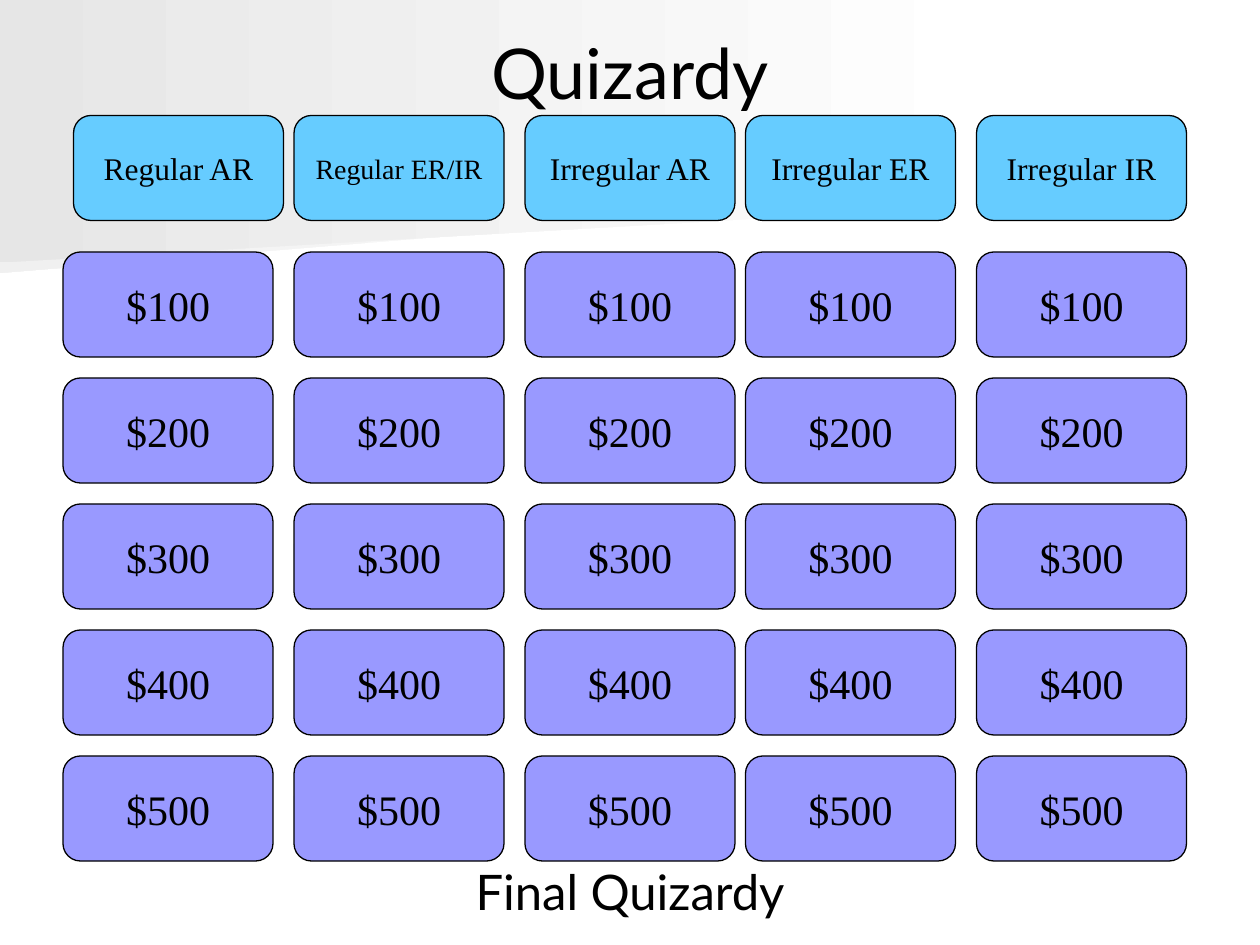
import pptx
import pptx.util
import pptx.dml.color
import pptx.enum.shapes
import pptx.enum.text

Pt = pptx.util.Pt

# Content
TITLE = "Quizardy"
FOOTER = "Final Quizardy"
CATEGORIES = [  # text, size, header left, column left
    ("Regular AR", 18, 42, 36),
    ("Regular ER/IR", 16, 168, 168),
    ("Irregular AR", 18, 300, 300),
    ("Irregular ER", 18, 426, 426),
    ("Irregular IR", 18, 558, 558),
]
AMOUNTS = ["$100", "$200", "$300", "$400", "$500"]
COLORS = {
    "text": "000000", "header": "66CCFF", "amount": "9999FF",
    "white": "FFFFFF", "band_back": "F0F0F0", "band_front": "E6E6E6",
}
BANDS = [  # end colour, corner points
    ("band_back", [(560.2, 110.2), (0, 156.2), (0, 72.7), (560.9, 72.7), (560.2, 92.2)]),
    ("band_front", [(570.2, 116.6), (0, 149.8), (0, 0), (570.2, 0)]),
]

# Layout
CARD_W, CARD_H = 120, 60
HEADER_TOP, GRID_TOP, ROW_STEP = 66, 144, 72
BOX_LEFT, BOX_W, BOX_H = 36, 648, 38.4


def rgb(name):
    return pptx.dml.color.RGBColor.from_string(COLORS[name])


def write(shape, text, size, font, wrap):
    tf = shape.text_frame
    tf.word_wrap = wrap
    tf.vertical_anchor = pptx.enum.text.MSO_ANCHOR.MIDDLE
    p = tf.paragraphs[0]
    p.alignment = pptx.enum.text.PP_ALIGN.CENTER
    r = p.add_run()
    r.text = text
    r.font.size = Pt(size)
    r.font.name = font
    r.font.color.rgb = rgb("text")


def add_band(s, color, points):
    builder = s.shapes.build_freeform(*points[0], scale=Pt(1))
    builder.add_line_segments(points[1:], close=True)
    sp = builder.convert_to_shape()
    sp.shadow.inherit = False
    sp.line.fill.background()
    sp.fill.gradient()
    sp.fill.gradient_angle = 180
    for stop, name in zip(sp.fill.gradient_stops, ("white", color)):
        stop.color.rgb = rgb(name)


def add_line_of_text(s, text, top, size):
    sp = s.shapes.add_textbox(Pt(BOX_LEFT), Pt(top), Pt(BOX_W), Pt(BOX_H))
    write(sp, text, size, "Lato", True)


def add_card(s, text, left, top, color, size):
    kind = pptx.enum.shapes.MSO_SHAPE.FLOWCHART_ALTERNATE_PROCESS
    sp = s.shapes.add_shape(kind, Pt(left), Pt(top), Pt(CARD_W), Pt(CARD_H))
    sp.shadow.inherit = False
    sp.fill.solid()
    sp.fill.fore_color.rgb = rgb(color)
    sp.line.color.rgb = rgb("text")
    sp.line.width = Pt(0.75)
    write(sp, text, size, "Times New Roman", False)


def main():
    prs = pptx.Presentation()
    prs.slide_width, prs.slide_height = Pt(720), Pt(540)
    s = prs.slides.add_slide(prs.slide_layouts[6])

    # Background bands
    for color, points in BANDS:
        add_band(s, color, points)

    # Title
    add_line_of_text(s, TITLE, 21.6, 40)

    # Board: a header and five amounts per category
    for text, size, header_left, left in CATEGORIES:
        add_card(s, text, header_left, HEADER_TOP, "header", size)
        for row, amount in enumerate(AMOUNTS):
            add_card(s, amount, left, GRID_TOP + row * ROW_STEP, "amount", 24)

    # Final round
    add_line_of_text(s, FOOTER, 489.6, 28)

    prs.save("out.pptx")


if __name__ == "__main__":
    main()
